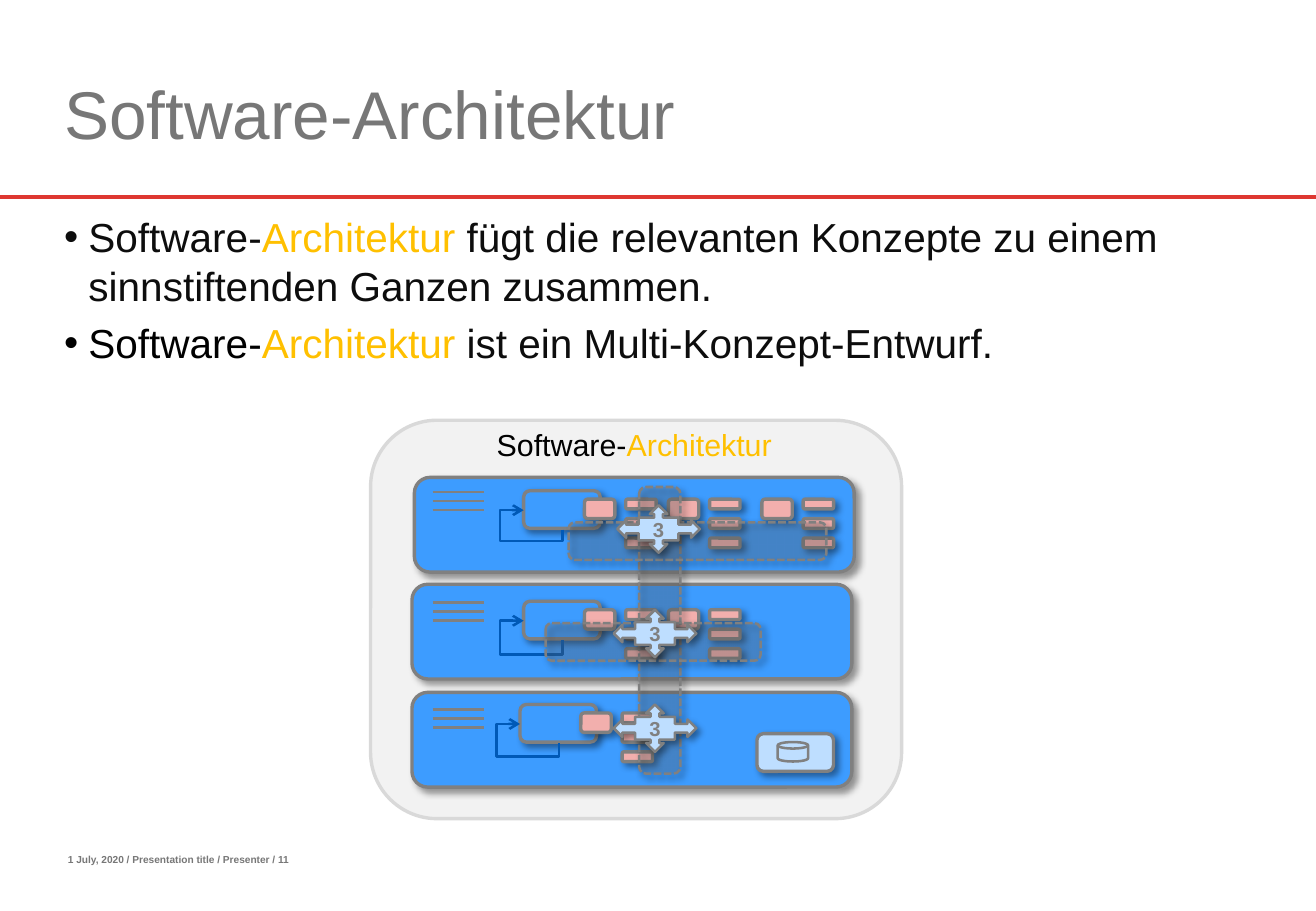
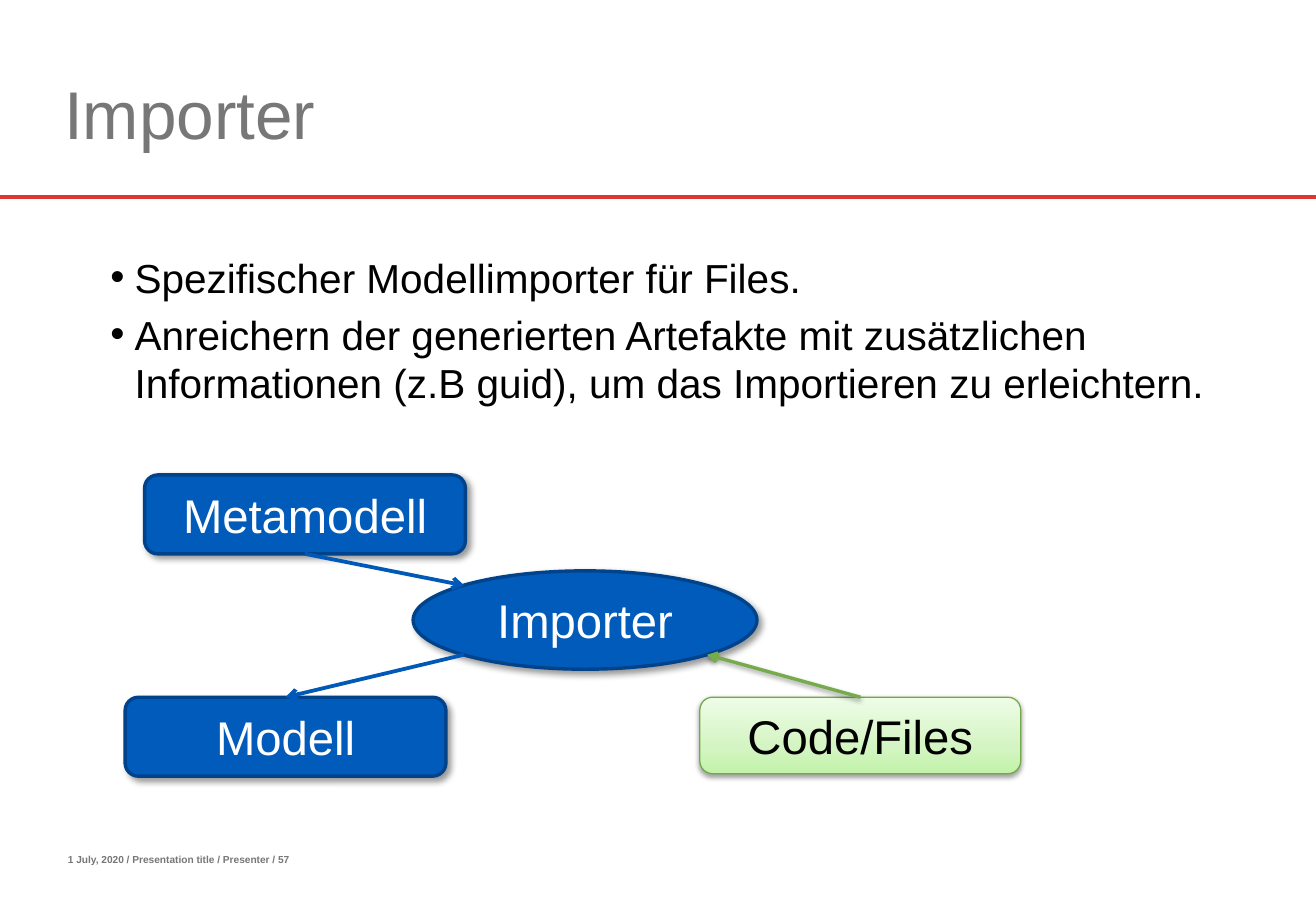
"""Build two slides on software architecture and a model importer."""
from copy import deepcopy

from lxml.etree import SubElement
from pptx import Presentation
from pptx.dml.color import RGBColor
from pptx.enum.dml import MSO_LINE
from pptx.enum.shapes import MSO_CONNECTOR, MSO_SHAPE
from pptx.enum.text import MSO_ANCHOR, PP_ALIGN
from pptx.oxml.ns import qn
from pptx.util import Inches, Pt

GREY, RED, GOLD, BLACK, INK = "777777", "DE3731", "FFC000", "000000", "0D0D0D"
EDGE, PANEL, PINK, PALE, ARROW = "808080", "3D9CFF", "F2AFAD", "BEDEFF", "0059B7"
NAVY, NAVY_EDGE, LEAF, LEAF_EDGE = "005BBB", "00438A", "76AB4C", "73AA48"
GRADIENT = [(0, "C2F3A9"), (0.35, "D4F5C3"), (1, "EEFCE7")]
SLANTED = {"alpha": 40, "blur": 4, "dist": 3, "angle": 45}
DOWNWARD = {"alpha": 38, "blur": 3.1, "dist": 1.6, "angle": 90}
FOOTER = "1 July, 2020 / Presentation title / Presenter / "

ARCHITECTURE_POINTS = [
    [("Software-", INK), ("Architektur", GOLD),
     (" fügt die relevanten Konzepte zu einem sinnstiftenden Ganzen zusammen.", INK)],
    [("Software-", BLACK), ("Architektur ", GOLD), ("ist ein Multi-Konzept-Entwurf.", INK)],
]
DIAGRAM_TITLE = [("Software-", BLACK), ("Architektur", GOLD)]
LAYERS = [
    {"panel": (3.41, 3.93), "notes": 4.05, "loop": (4.31, 4.04), "drop": -0.6,
     "clusters": (4.81, 5.5, 6.27), "callout": (5.08, 4.16)},
    {"panel": (3.39, 4.81), "notes": 4.96, "loop": (4.31, 4.95), "drop": -0.733,
     "clusters": (4.81, 5.5), "callout": (5.05, 5.02)},
    {"panel": (3.39, 5.7), "notes": 5.84, "loop": (4.28, 5.8), "drop": -0.667,
     "clusters": (4.78,), "callout": (5.05, 5.8)},
]
BANDS = [(5.26, 4.01, 0.34, 2.36), (4.49, 5.13, 1.77, 0.31), (4.68, 4.3, 2.12, 0.31)]

IMPORTER_POINTS = [
    [("Spezifischer Modellimporter für Files.", BLACK)],
    [("Anreichern der generierten Artefakte mit zusätzlichen Informationen (z.B guid), "
      "um das Importieren zu erleichtern.", BLACK)],
]
NODES = [
    ("Metamodell", MSO_SHAPE.ROUNDED_RECTANGLE, (1.19, 3.91, 2.64, 0.65)),
    ("Importer", MSO_SHAPE.OVAL, (3.4, 4.7, 2.83, 0.81)),
    ("Modell", MSO_SHAPE.ROUNDED_RECTANGLE, (1.03, 5.74, 2.64, 0.65)),
]
CODE_AREA = (5.76, 5.74, 2.64, 0.63)


def color(value):
    return RGBColor.from_string(value)


def style(target, values):
    for name, value in values.items():
        setattr(target, name, value)


def write(frame, paragraphs, size, bold=False, **layout):
    for index, spans in enumerate(paragraphs):
        para = frame.paragraphs[0] if index == 0 else frame.add_paragraph()
        style(para, layout)
        for text, tone in spans:
            span = para.add_run()
            span.text = text
            style(span.font, {"name": "Arial", "size": Pt(size), "bold": bold})
            span.font.color.rgb = color(tone)


def textbox(page, area, paragraphs, size, anchor=MSO_ANCHOR.TOP, **layout):
    frame = page.shapes.add_textbox(*map(Inches, area)).text_frame
    style(frame, {"word_wrap": True, "vertical_anchor": anchor})
    write(frame, paragraphs, size, **layout)
    return frame


def bullets(page, area, points):
    frame = textbox(page, area, points, 24, space_before=Pt(5))
    for para in frame.paragraphs:
        props = para._p.get_or_add_pPr()
        props.set("marL", str(Inches(0.4)))
        props.set("indent", str(Inches(-0.2)))
        SubElement(props, qn("a:buFont"), typeface="Arial")
        SubElement(props, qn("a:buChar"), char="•")


def cast_shadow(effects, alpha, blur, dist, angle):
    shade = SubElement(effects, qn("a:outerShdw"), blurRad=str(Pt(blur)),
                       dist=str(Pt(dist)), dir=str(angle * 60000), rotWithShape="0")
    tone = SubElement(shade, qn("a:srgbClr"), val=BLACK)
    SubElement(tone, qn("a:alpha"), val=str(alpha * 1000))


def shape(page, kind, area, fill, edge=EDGE, width=2, shadow=SLANTED):
    item = page.shapes.add_shape(kind, *map(Inches, area))
    item.shadow.inherit = False
    if shadow:
        cast_shadow(item.element.spPr.find(qn("a:effectLst")), **shadow)
    item.fill.solid()
    item.fill.fore_color.rgb = color(fill)
    item.line.color.rgb = color(edge)
    item.line.width = Pt(width)
    return item


def rounded(page, area, fill, **look):
    return shape(page, MSO_SHAPE.ROUNDED_RECTANGLE, area, fill, **look)


def label(item, text, size, tone, bold=False):
    frame = item.text_frame
    style(frame, {"word_wrap": False, "vertical_anchor": MSO_ANCHOR.MIDDLE, "margin_left": 0,
                  "margin_right": 0, "margin_top": 0, "margin_bottom": 0})
    write(frame, [[(text, tone)]], size, bold, alignment=PP_ALIGN.CENTER)


def line(page, start, end, tone, width, arrow=False, shadow=None, kind=MSO_CONNECTOR.STRAIGHT):
    link = page.shapes.add_connector(kind, *map(Inches, (*start, *end)))
    link.line.color.rgb = color(tone)
    link.line.width = Pt(width)
    if arrow:
        SubElement(link.line._get_or_add_ln(), qn("a:tailEnd"), type="arrow")
    effects = SubElement(link.element.spPr, qn("a:effectLst"))
    if shadow:
        cast_shadow(effects, **shadow)
    return link


def self_arrow(page, left, top, drop):
    link = line(page, (left + 0.24, top + 0.07), (left + 0.08, top + 0.39), ARROW, 1.5,
                arrow=True, kind=MSO_CONNECTOR.ELBOW)
    props = link.element.spPr
    props.find(qn("a:xfrm")).set("rot", str(90 * 60000))
    geometry = props.find(qn("a:prstGeom"))
    geometry.set("prst", "bentConnector4")
    guides = geometry.find(qn("a:avLst"))
    if guides is None:
        guides = SubElement(geometry, qn("a:avLst"))
    for name, ratio in (("adj1", drop), ("adj2", 1.609)):
        SubElement(guides, qn("a:gd"), name=name, fmla=f"val {round(ratio * 100000)}")


def start_page(deck, title, number):
    page = deck.slides.add_slide(deck.slide_layouts[6])
    line(page, (0, 1.62), (10.83, 1.62), RED, 2.25)
    textbox(page, (0.46, 6.98, 4.49, 0.2), [[(f"{FOOTER}{number}", GREY)]], 6, bold=True)
    textbox(page, (0.43, 0.3, 8.03, 1.01), [[(title, GREY)]], 40, MSO_ANCHOR.BOTTOM)
    return page


def draw_layer(page, layer):
    rounded(page, (*layer["panel"], 3.62, 0.78), PANEL)
    for index in range(3):
        height = layer["notes"] + index * 0.075
        line(page, (3.56, height), (3.98, height), EDGE, 1.5)
    left, top = layer["loop"]
    rounded(page, (left, top, 0.63, 0.31), PANEL)
    self_arrow(page, left, top + 0.01, layer["drop"])
    for cluster in layer["clusters"]:
        rounded(page, (cluster, top + 0.07, 0.25, 0.16), PINK)
        for index in range(3):
            rounded(page, (cluster + 0.34, top + 0.07 + index * 0.16, 0.25, 0.08), PINK)


def architecture(deck):
    page = start_page(deck, "Software-Architektur", 11)
    rounded(page, (3.05, 3.46, 4.37, 3.28), "F2F2F2", edge="D9D9D9", shadow=None)
    textbox(page, (3.74, 3.46, 2.96, 0.4), [DIAGRAM_TITLE], 18, alignment=PP_ALIGN.CENTER)
    for layer in LAYERS:
        draw_layer(page, layer)
    rounded(page, (6.23, 6.04, 0.63, 0.31), PALE)
    shape(page, MSO_SHAPE.FLOWCHART_MAGNETIC_DISK, (6.4, 6.11, 0.25, 0.16), PALE,
          width=1.5, shadow=None)
    for area in BANDS:
        band = rounded(page, area, "6B6B6B", width=1.5)
        band.line.dash_style = MSO_LINE.SQUARE_DOT
        tone = band.element.spPr.find(qn("a:solidFill")).find(qn("a:srgbClr"))
        SubElement(tone, qn("a:alpha"), val="25000")
    for layer in LAYERS:
        callout = shape(page, MSO_SHAPE.QUAD_ARROW_CALLOUT, (*layer["callout"], 0.68, 0.39),
                        PALE, width=1.5)
        label(callout, "3", 12, EDGE, bold=True)
    bullets(page, (0.23, 1.7, 9.83, 1.42), ARCHITECTURE_POINTS)


def paint_gradient(item):
    item.fill.gradient()
    item.fill.gradient_angle = 90
    stops = item.element.spPr.find(qn("a:gradFill")).find(qn("a:gsLst"))
    stops.append(deepcopy(stops[0]))
    for stop, (position, tone) in zip(item.fill.gradient_stops, GRADIENT):
        stop.position = position
        stop.color.rgb = color(tone)


def importer(deck):
    page = start_page(deck, "Importer", 57)
    nodes = {}
    for name, kind, area in NODES:
        nodes[name] = shape(page, kind, area, NAVY, edge=NAVY_EDGE)
        label(nodes[name], name, 28, "FFFFFF")
    code = rounded(page, CODE_AREA, GRADIENT[0][1], edge=LEAF_EDGE, width=0.75, shadow=DOWNWARD)
    paint_gradient(code)
    label(code, "Code/Files", 28, BLACK)
    supply = line(page, (7.08, 5.74), (5.82, 5.39), LEAF, 2, arrow=True, shadow=DOWNWARD)
    supply.begin_connect(code, 0)
    guide = line(page, (2.51, 4.56), (3.82, 4.82), ARROW, 2.25, arrow=True)
    guide.begin_connect(nodes["Metamodell"], 2)
    result = line(page, (3.82, 5.39), (2.35, 5.74), ARROW, 2.25, arrow=True)
    result.end_connect(nodes["Modell"], 0)
    bullets(page, (0.61, 2.03, 9.83, 4.73), IMPORTER_POINTS)


def main():
    deck = Presentation()
    style(deck, {"slide_width": Inches(10.83), "slide_height": Inches(7.5)})
    architecture(deck)
    importer(deck)
    deck.save("out.pptx")


if __name__ == "__main__":
    main()
